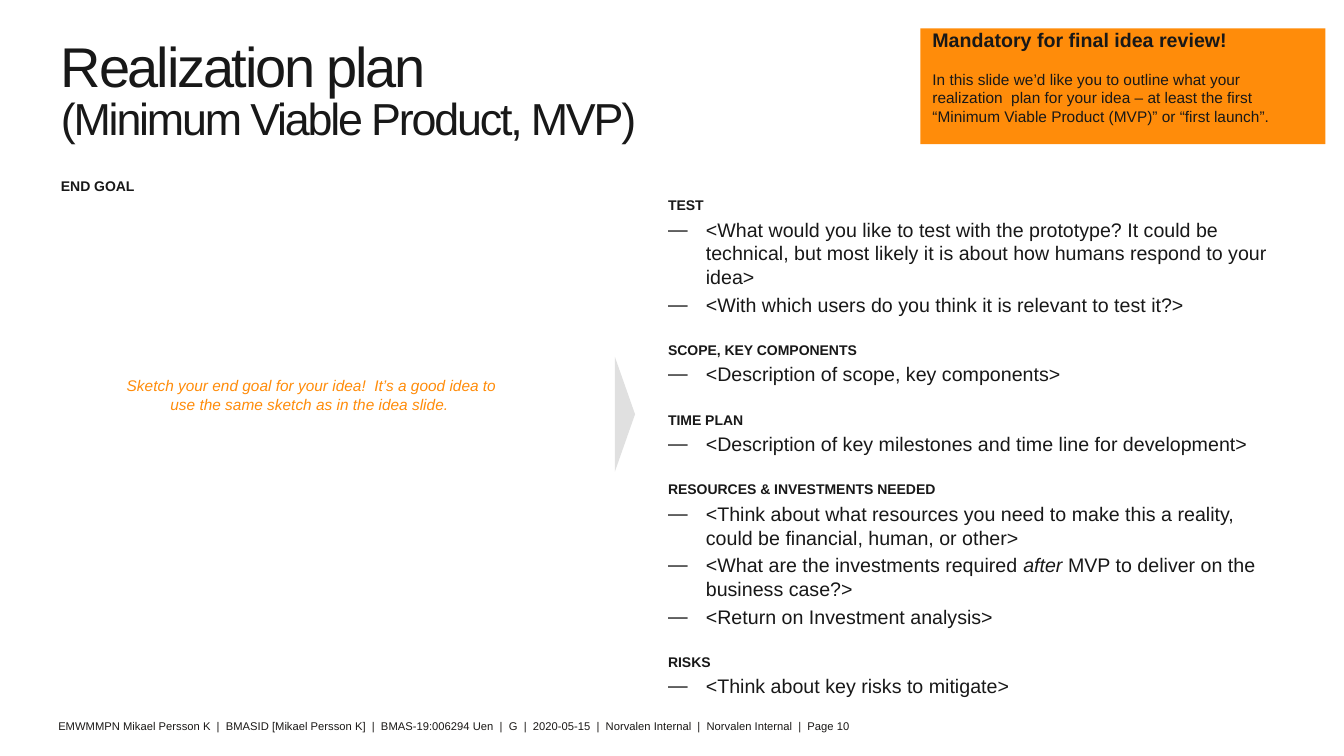
from pptx import Presentation
from pptx.dml.color import RGBColor
from pptx.enum.shapes import MSO_SHAPE as Shape
from pptx.enum.text import MSO_ANCHOR as Anchor, PP_ALIGN as Align
from pptx.oxml.ns import qn
from pptx.util import Pt
from lxml.etree import SubElement

INK, ORANGE, GREY = "181818", "FF8C0A", "E0E0E0"


def paint(target, color):
    """Colour a font or fill a shape."""
    if hasattr(target, "fill") and hasattr(target, "line"):
        target.fill.solid()
        target.fill.fore_color.rgb = RGBColor.from_string(color)
        target.line.fill.background()
        target.shadow.inherit = False
    else:
        target.color.rgb = RGBColor.from_string(color)


def write(par, text, size, color=INK, bold=False, italic=False, before=0):
    """Fill a paragraph; asterisks mark italics."""
    for part, words in enumerate(text.split("*")):
        if part:
            run = par.add_run()
            run.text = words
            run.font.italic = part % 2 == 1
        else:
            par.text = words
    par.space_before = Pt(before)
    font = par.font
    font.name, font.size, font.bold, font.italic = "Arial", Pt(size), bold, italic
    paint(font, color)


deck = Presentation()
deck.slide_width, deck.slide_height = Pt(960), Pt(540)
slide = deck.slides.add_slide(deck.slide_layouts[6])
shapes = slide.shapes

# Text boxes: left, top, width, height, left inset, top inset
places = {
    "footer": (41.6, 514, 777, 17, 0, 0),
    "title": (37.5, 26, 658, 85, 6, 3.6),
    "goal": (37.5, 122.8, 433.5, 20, 6, 3.6),
    "plan": (471.2, 137, 451, 392, 6, 3.6),
    "sketch": (79, 265.2, 287.3, 60, 6, 3.6),
}
frames = {}
for name, (left, top, width, height, side, edge) in places.items():
    box = shapes.add_textbox(Pt(left), Pt(top), Pt(width), Pt(height))
    frame = frames[name] = box.text_frame
    frame.word_wrap = name != "footer"
    frame.margin_left = frame.margin_right = Pt(side)
    frame.margin_top = frame.margin_bottom = Pt(edge)

# Footer
write(frames["footer"].paragraphs[0],
      "EMWMMPN Mikael Persson K  |  BMASID [Mikael Persson K]  |  "
      "BMAS-19:006294 Uen  |  G  |  2020-05-15  |  Norvalen Internal  |  "
      "Norvalen Internal  |  Page 10", 8, "1A1816")

# Title in two sizes, with tight letters
frames["title"].margin_right = 0
head = frames["title"].paragraphs[0]
write(head, "Realization plan\v(Minimum Viable Product, MVP)", 40, before=3)
head.line_spacing = 0.85
for run, size in zip(head.runs, (40, 32)):
    run.font.size = Pt(size)
    run.font._element.set("spc", "-160")

# End goal and sketch hint
frames["goal"].vertical_anchor = Anchor.MIDDLE
write(frames["goal"].paragraphs[0], "END GOAL", 10, bold=True)
hint = frames["sketch"].paragraphs[0]
write(hint, "Sketch your end goal for your idea!  It’s a good idea to use "
      "the same sketch as in the idea slide. ", 11, ORANGE, italic=True)
hint.alignment = Align.CENTER

# Pointer from goal to plan
arrow = shapes.add_shape(Shape.ISOSCELES_TRIANGLE, Pt(405.4), Pt(288.7), Pt(82), Pt(14.4))
arrow.rotation = 90
paint(arrow, GREY)

# Plan: headings with dashed points
plan = {
    "TEST": [
        "<What would you like to test with the prototype? It could be technical, "
        "but most likely it is about how humans respond to your idea>",
        "<With which users do you think it is relevant to test it?>"],
    "SCOPE, KEY COMPONENTS": ["<Description of scope, key components>"],
    "TIME PLAN": ["<Description of key milestones and time line for development>"],
    "RESOURCES & INVESTMENTS NEEDED": [
        "<Think about what resources you need to make this a reality, "
        "could be financial, human, or other>",
        "<What are the investments required *after* MVP to deliver on the business case?>",
        "<Return on Investment analysis>"],
    "RISKS": ["<Think about key risks to mitigate>"],
}
body = frames["plan"]
par = body.paragraphs[0]
for num, (topic, points) in enumerate(plan.items()):
    if num:
        par = body.add_paragraph()
    write(par, topic, 10, bold=True, before=18 if num else 0)
    for point in points:
        par = body.add_paragraph()
        write(par, point, 14, before=3)
        props = par._p.get_or_add_pPr()
        props.set("marL", str(Pt(27)))
        props.set("indent", str(-Pt(27)))
        last = props.find(qn("a:defRPr"))
        last.addprevious(SubElement(props, qn("a:buFont"), typeface="Arial"))
        last.addprevious(SubElement(props, qn("a:buChar"), char="—"))

# Orange note
note = shapes.add_shape(Shape.RECTANGLE, Pt(657.4), Pt(20.2), Pt(289.4), Pt(82.8))
paint(note, ORANGE)
frame = note.text_frame
frame.word_wrap = True
frame.vertical_anchor = Anchor.TOP
frame.margin_left = frame.margin_right = Pt(8.6)
frame.margin_top = frame.margin_bottom = 0
lead, text = frame.paragraphs[0], frame.add_paragraph()
write(lead, "Mandatory for final idea review!", 14, bold=True)
write(text, "In this slide we’d like you to outline what your realization  plan for "
      "your idea – at least the first “Minimum Viable Product (MVP)” or “first launch”.",
      11, before=13)
for par in (lead, text):
    par.alignment = Align.LEFT

deck.save("out.pptx")
